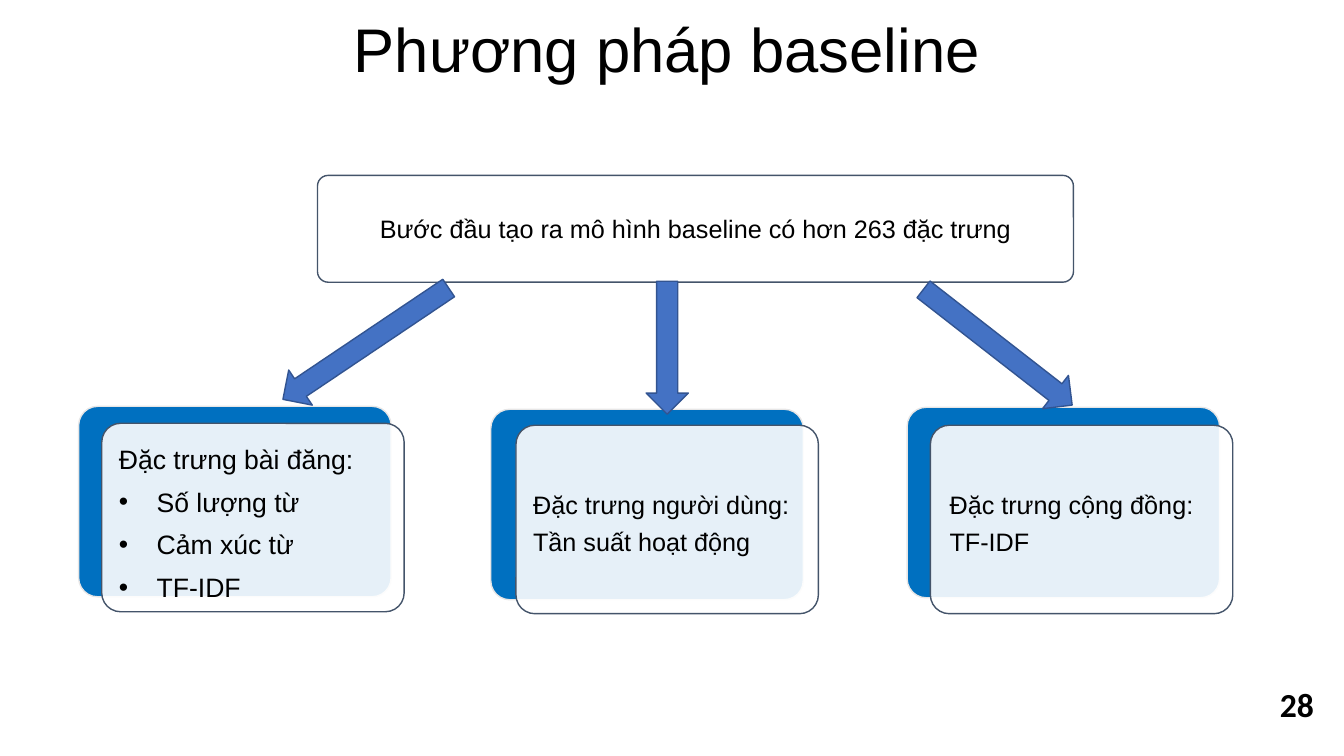
from dataclasses import dataclass

from lxml.etree import SubElement
from pptx import Presentation
from pptx.dml.color import RGBColor
from pptx.enum.shapes import MSO_SHAPE
from pptx.enum.text import MSO_ANCHOR, PP_ALIGN
from pptx.oxml.ns import qn
from pptx.util import Pt


@dataclass(frozen=True)
class Theme:
    ink: str = "000000"
    white: str = "FFFFFF"
    edge: str = "44546A"
    card: str = "0070C0"
    rim: str = "E7E6E6"
    arrow: str = "4472C4"
    arrow_rim: str = "325491"
    font: str = "Arial"
    num_font: str = "Calibri"
    title: int = 44
    number: int = 24
    body: int = 18
    post: int = 19


class Painter:
    def __init__(self, slide, theme):
        self.slide, self.theme = slide, theme

    def shape(self, kind, box, fill, line, alpha=None, turn=0):
        item = self.slide.shapes.add_shape(kind, *map(Pt, box))
        item.shadow.inherit = False
        item.rotation = turn
        item.fill.solid()
        item.fill.fore_color.rgb = RGBColor.from_string(fill)
        item.line.color.rgb = RGBColor.from_string(line)
        item.line.width = Pt(1)
        if alpha:
            color = item._element.spPr.find(qn("a:solidFill"))[0]
            SubElement(color, qn("a:alpha"), val=str(alpha * 1000))
        return item

    def round(self, box, fill, line, alpha=None):
        item = self.shape(MSO_SHAPE.ROUNDED_RECTANGLE, box, fill, line, alpha)
        item.adjustments[0] = 0.1
        return item

    def arrow(self, box, turn):
        theme = self.theme
        self.shape(MSO_SHAPE.DOWN_ARROW, box, theme.arrow, theme.arrow_rim, turn=turn)

    def label(self, item, lines, size, align=PP_ALIGN.LEFT, anchor=MSO_ANCHOR.TOP,
              font=None, bold=False, lead=1.0, after=0, marks=False):
        frame = item.text_frame
        frame.word_wrap = True
        frame.vertical_anchor = anchor
        frame.text = "\n".join(lines)
        for row, para in enumerate(frame.paragraphs):
            para.alignment = align
            para.line_spacing = lead
            para.space_after = Pt(after)
            # Bullets below the heading line
            if marks and row:
                props = para._p.get_or_add_pPr()
                props.set("marL", str(Pt(27)))
                props.set("indent", str(-Pt(27)))
                SubElement(props, qn("a:buFont"), typeface=self.theme.font)
                SubElement(props, qn("a:buChar"), char="•")
            for run in para.runs:
                run.font.name = font or self.theme.font
                run.font.size = Pt(size)
                run.font.bold = bold
                run.font.color.rgb = RGBColor.from_string(self.theme.ink)
        return frame

    def text(self, box, lines, size, **style):
        item = self.slide.shapes.add_textbox(*map(Pt, box))
        return self.label(item, lines, size, **style)

    def card(self, back, front, shift, lines, size, lead, marks):
        theme = self.theme
        self.round((*back, 223.2, 136.1), theme.card, theme.rim)
        self.round((*front, 216, 134.6), theme.white, theme.edge, alpha=90)
        left, top = front
        frame = self.text((left + shift, top + 7.9, 207.4, 126.7), lines, size,
                          anchor=MSO_ANCHOR.MIDDLE, lead=lead,
                          after=size * 0.4, marks=marks)
        frame.margin_left = frame.margin_right = Pt(7.9)
        frame.margin_top = frame.margin_bottom = Pt(7.9)


def main():
    deck = Presentation()
    deck.slide_width, deck.slide_height = Pt(960), Pt(540)
    theme = Theme()
    draw = Painter(deck.slides.add_slide(deck.slide_layouts[6]), theme)

    # Model box
    model = draw.round((226.8, 125.3, 540, 76.3), theme.white, theme.edge, alpha=90)
    draw.label(model, ["Bước đầu tạo ra mô hình baseline có hơn 263 đặc trưng"],
               theme.body, align=PP_ALIGN.CENTER, anchor=MSO_ANCHOR.MIDDLE)

    # Feature cards: back corner, front corner, text shift, lines, style
    cards = [
        ((56.2, 290.2), (72.7, 302.4), 4.3,
         ["Đặc trưng bài đăng:", "Số lượng từ", "Cảm xúc từ", "TF-IDF"],
         theme.post, 1.0, True),
        ((350.6, 292.3), (368.6, 303.8), 4.3,
         ["Đặc trưng người dùng:", "Tần suất hoạt động"], theme.body, 0.9, False),
        ((648, 290.9), (664.6, 303.8), 5.8,
         ["Đặc trưng cộng đồng:", "TF-IDF"], theme.body, 0.9, False),
    ]
    for card in cards:
        draw.card(*card)

    # Arrows from the model to the cards
    for left, top, tall, turn in [(246.2, 174.2, 142.6, 56.1),
                                  (461.5, 200.9, 95, 0),
                                  (697.7, 180.7, 134.6, 307.9)]:
        draw.arrow((left, top, 30.2, tall), turn)

    # Title and page number
    draw.text((62.6, 10.1, 828, 69.1), ["Phương pháp baseline"], theme.title,
              align=PP_ALIGN.CENTER, lead=0.9)
    draw.text((907.2, 485.3, 43.2, 36), ["28"], theme.number,
              font=theme.num_font, bold=True)

    deck.save("out.pptx")


if __name__ == "__main__":
    main()
